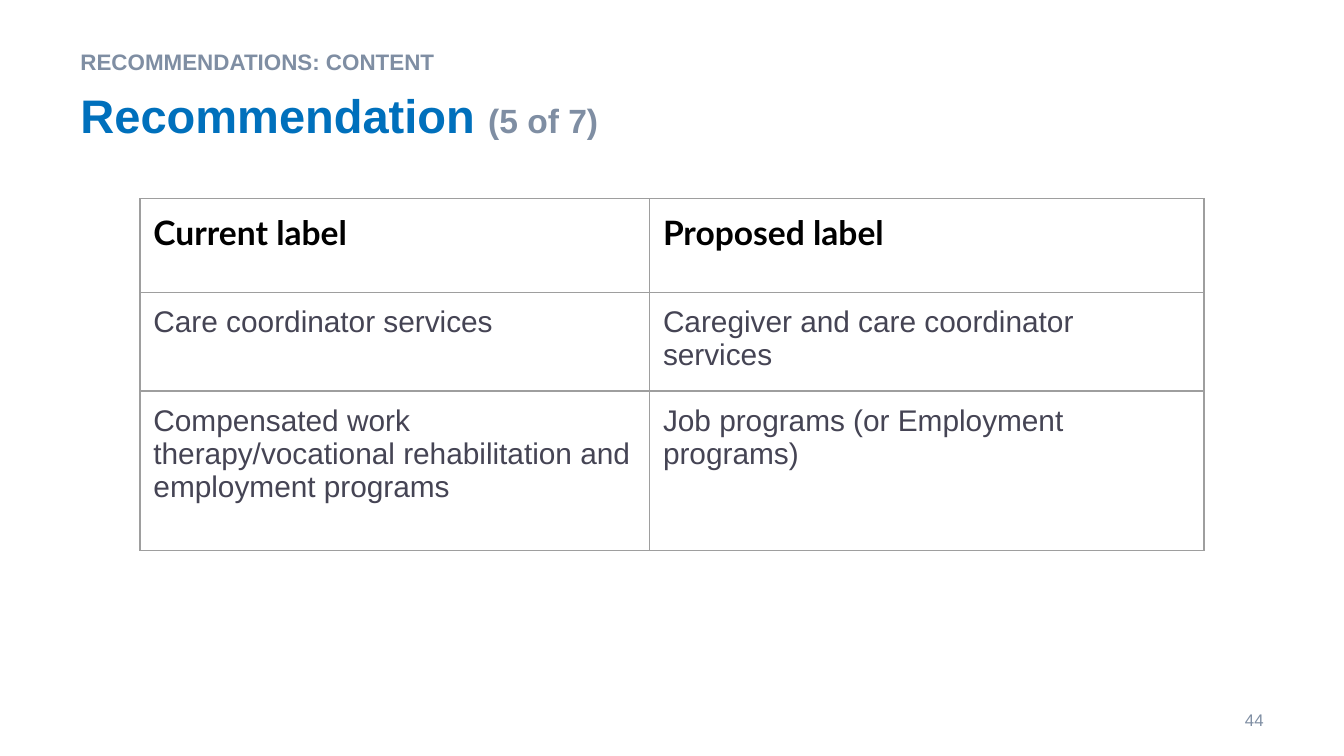
import pptx
import pptx.dml.color
import pptx.enum.text
import pptx.oxml
import pptx.oxml.ns
import pptx.util

Pt = pptx.util.Pt
ALIGN = pptx.enum.text.PP_ALIGN
ANCHOR = pptx.enum.text.MSO_ANCHOR

COLORS = {
    "title": "0070BC",
    "muted": "7F8EA3",
    "header": "000000",
    "body": "454454",
    "border": "9E9E9E",
}


def add_span(para, text, *, size, color, font="Arial", bold=False):
    span = para.add_run()
    span.text = text
    span.font.name = font
    span.font.size = Pt(size)
    span.font.bold = bold
    span.font.color.rgb = pptx.dml.color.RGBColor.from_string(COLORS[color])


class SlideBuilder:
    header_style = dict(size=18, color="header", font="Lato", bold=True)
    body_style = dict(size=16, color="body")
    cell_margin = 7.2
    border_width = 0.75

    def __init__(self, page):
        self.page = page

    def text(self, left, top, width, height, spans, *, align=ALIGN.LEFT,
             anchor=ANCHOR.TOP, line_spacing=None, top_inset=3.6):
        box = self.page.shapes.add_textbox(Pt(left), Pt(top), Pt(width), Pt(height))
        frame = box.text_frame
        frame.word_wrap = True
        frame.vertical_anchor = anchor
        frame.margin_top = Pt(top_inset)
        para = frame.paragraphs[0]
        para.alignment = align
        para.line_spacing = line_spacing
        for text, style in spans:
            add_span(para, text, **style)

    def table(self, left, top, widths, heights, rows):
        frame = self.page.shapes.add_table(
            len(rows), len(widths), Pt(left), Pt(top), Pt(sum(widths)), Pt(sum(heights)))
        table = frame.table
        table.first_row = False
        table.horz_banding = False
        for column, width in zip(table.columns, widths):
            column.width = Pt(width)
        for row, height in zip(table.rows, heights):
            row.height = Pt(height)
        for row_index, texts in enumerate(rows):
            style = self.body_style if row_index else self.header_style
            for column_index, text in enumerate(texts):
                self.cell(table.cell(row_index, column_index), text, style)

    def cell(self, cell, text, style):
        margin = Pt(self.cell_margin)
        cell.margin_left = cell.margin_right = margin
        cell.margin_top = cell.margin_bottom = margin
        add_span(cell.text_frame.paragraphs[0], text, **style)
        properties = cell._tc.get_or_add_tcPr()
        for side in ("lnL", "lnR", "lnT", "lnB"):
            properties.append(pptx.oxml.parse_xml(
                f'<a:{side} {pptx.oxml.ns.nsdecls("a")} w="{Pt(self.border_width)}">'
                f'<a:solidFill><a:srgbClr val="{COLORS["border"]}"/></a:solidFill>'
                f'</a:{side}>'))
        cell.fill.background()


def main():
    deck = pptx.Presentation()
    deck.slide_width = Pt(720)
    deck.slide_height = Pt(405)
    builder = SlideBuilder(deck.slides.add_slide(deck.slide_layouts[6]))

    builder.text(36, 40.3, 594, 49.7, [
        ("Recommendation ", dict(size=25.2, color="title", bold=True)),
        ("(5 of 7)", dict(size=18, color="muted", bold=True)),
    ], top_inset=6.2)
    builder.text(36, 19.5, 594, 21, [
        ("RECOMMENDATIONS: CONTENT", dict(size=12, color="muted", bold=True)),
    ], line_spacing=1.2)
    builder.text(630, 375, 54, 21.6, [
        ("44", dict(size=9, color="muted")),
    ], align=ALIGN.RIGHT, anchor=ANCHOR.MIDDLE)
    builder.table(75, 106.5, [273, 297], [50.2, 50.2, 85.4], [
        ("Current label", "Proposed label"),
        ("Care coordinator services", "Caregiver and care coordinator services"),
        ("Compensated work therapy/vocational rehabilitation and employment programs",
         "Job programs (or Employment programs)"),
    ])
    deck.save("out.pptx")


if __name__ == "__main__":
    main()
